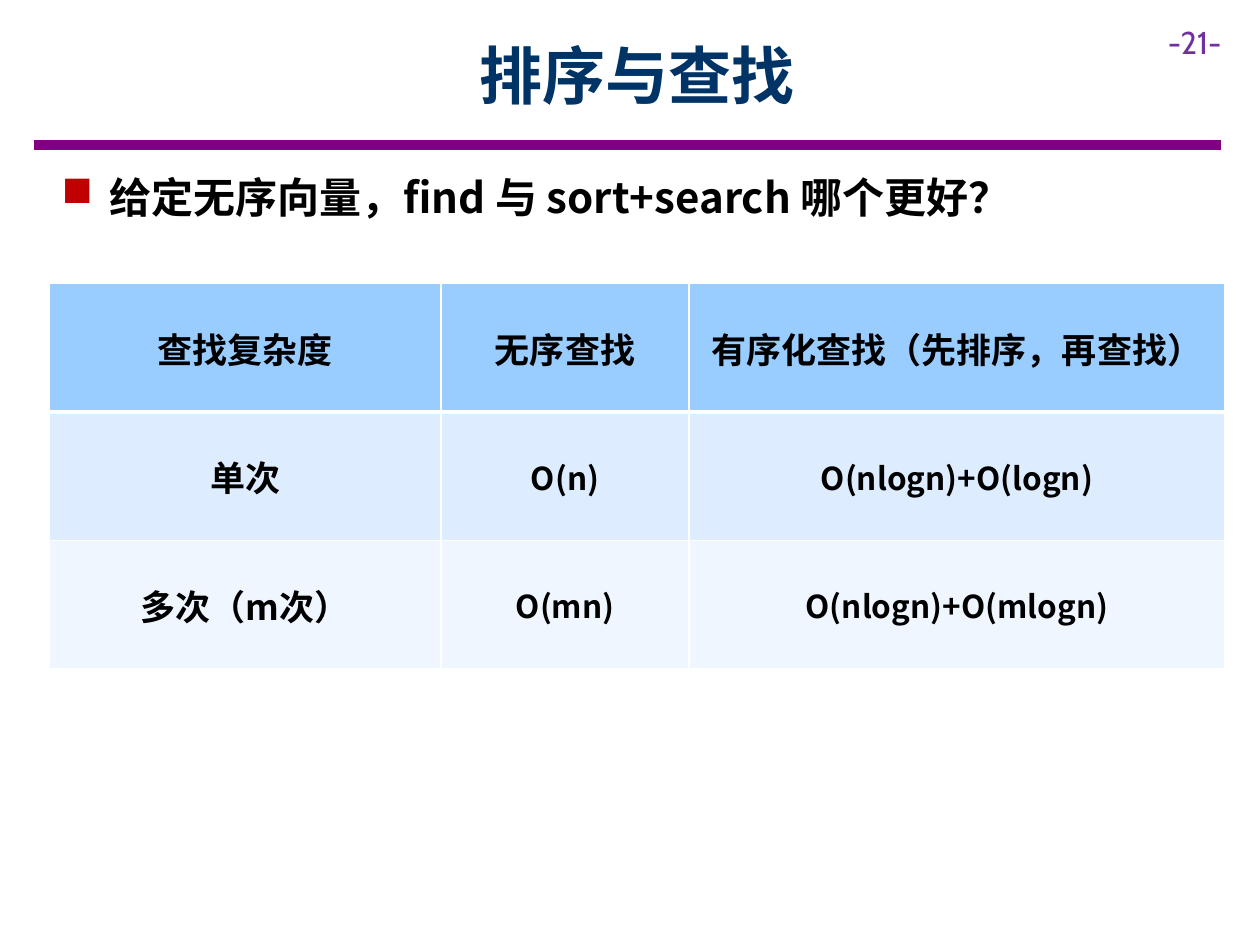
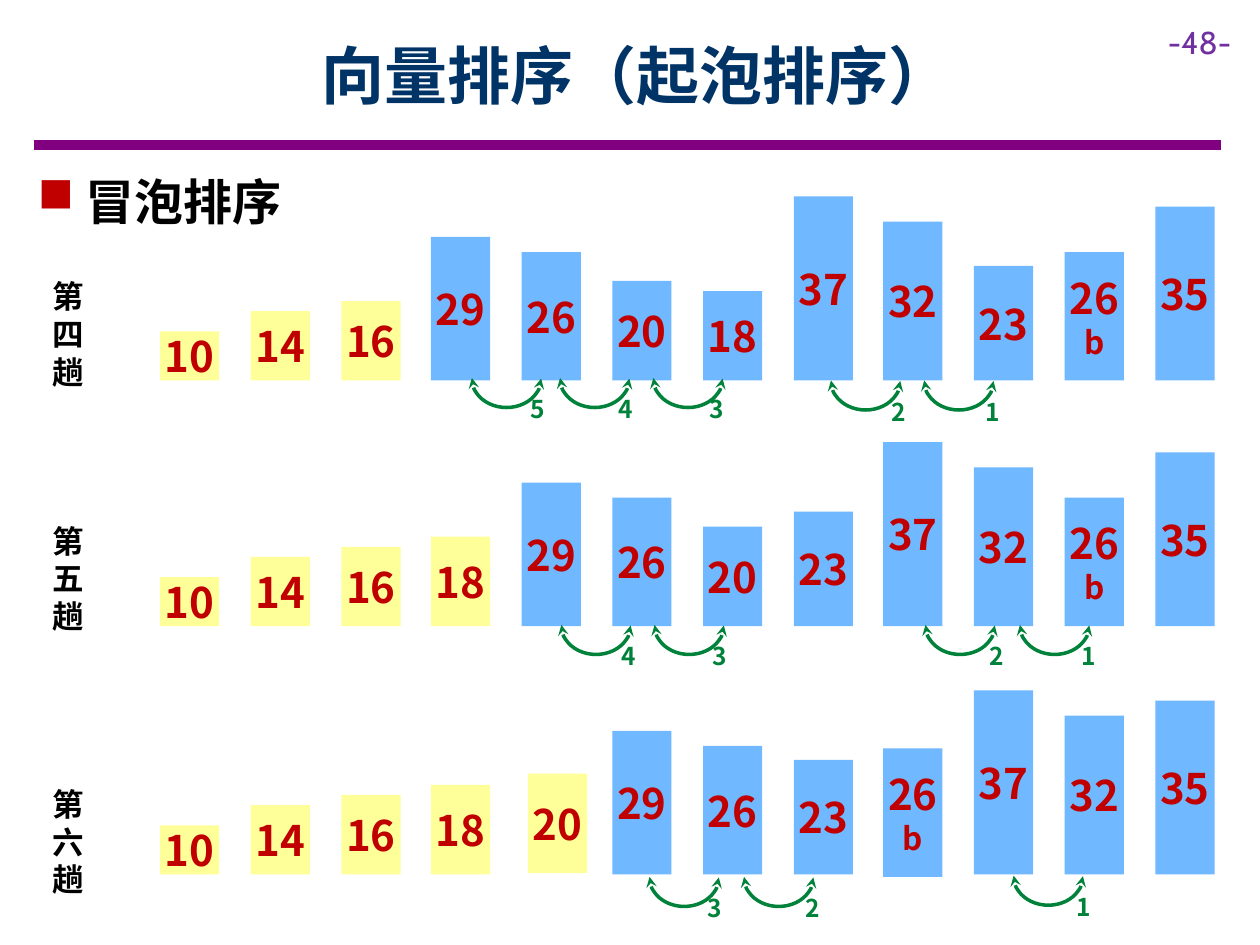
"""Build two slides on sorting, searching and bubble sort passes."""
from lxml.etree import SubElement
from pptx import Presentation
from pptx.dml.color import RGBColor
from pptx.enum.shapes import MSO_CONNECTOR, MSO_SHAPE
from pptx.enum.text import MSO_ANCHOR, PP_ALIGN
from pptx.oxml import parse_xml
from pptx.oxml.ns import nsdecls, qn
from pptx.util import Pt

PX = 9144
CJK = "Noto Sans CJK SC"
LATIN = "Cabin"

BLACK = RGBColor(0x00, 0x00, 0x00)
NAVY = RGBColor(0x00, 0x33, 0x66)
PURPLE = RGBColor(0x80, 0x00, 0x80)
VIOLET = RGBColor(0x70, 0x30, 0xA0)
RED = RGBColor(0xC0, 0x00, 0x00)
GREEN = RGBColor(0x00, 0x82, 0x3B)
BLUE = RGBColor(0x70, 0xB8, 0xFF)
YELLOW = RGBColor(0xFF, 0xFF, 0x99)
HEAD_FILL = RGBColor(0x99, 0xCC, 0xFF)
ROW_FILLS = [HEAD_FILL, RGBColor(0xDE, 0xEC, 0xFF), RGBColor(0xEF, 0xF6, 0xFF)]


def write(tf, text, size, color, align=PP_ALIGN.CENTER, font=CJK, leading=None):
    tf.text = text
    for p in tf.paragraphs:
        p.alignment = align
        if leading:
            p.line_spacing = Pt(size * leading)
        for r in p.runs:
            r.font.size = Pt(size)
            r.font.bold = font == CJK
            r.font.color.rgb = color
            r.font.name = font
            SubElement(r._r.get_or_add_rPr(), qn("a:ea")).set("typeface", font)


def textbox(s, x, y, w, h, wrap=True):
    tf = s.shapes.add_textbox(x * PX, y * PX, w * PX, h * PX).text_frame
    tf.word_wrap = wrap
    return tf


prs = Presentation()
prs.slide_width = 1000 * PX
prs.slide_height = 750 * PX

PAGES = [
    ("排序与查找", "-21-", "给定无序向量，find 与 sort+search 哪个更好？", 24, (39, 131, 894, 50)),
    ("向量排序（起泡排序）", "-48-", "冒泡排序", 28, (20, 131, 957, 57)),
]
for title, number, topic, size, place in PAGES:
    s = prs.slides.add_slide(prs.slide_layouts[6])
    rule = s.shapes.add_connector(
        MSO_CONNECTOR.STRAIGHT, 27 * PX, 115 * PX, 969 * PX, 115 * PX)
    rule.line.color.rgb = PURPLE
    rule.line.width = Pt(6)
    SubElement(rule._element.spPr, qn("a:effectLst"))

    write(textbox(s, 917, 13, 83, 40), number, 18, VIOLET, PP_ALIGN.LEFT, LATIN)
    tf = textbox(s, 90, 9, 831, 100)
    tf.vertical_anchor = MSO_ANCHOR.MIDDLE
    write(tf, title, 36, NAVY)

    tf = textbox(s, *place)
    write(tf, topic, size, BLACK, PP_ALIGN.LEFT, leading=1.2)
    p = tf.paragraphs[0]
    p.space_after = Pt(6)
    pPr = p._p.get_or_add_pPr()
    pPr.set("marL", str(38 * PX))
    pPr.set("indent", str(-38 * PX))
    SubElement(SubElement(pPr, qn("a:buClr")), qn("a:srgbClr")).set("val", str(RED))
    SubElement(pPr, qn("a:buChar")).set("char", "■")

search_slide, bubble_slide = prs.slides

COSTS = [
    ["查找复杂度", "无序查找", "有序化查找（先排序，再查找）"],
    ["单次", "O(n)", "O(nlogn)+O(logn)"],
    ["多次（m次）", "O(mn)", "O(nlogn)+O(mlogn)"],
]
table = search_slide.shapes.add_table(
    3, 3, 39 * PX, 225 * PX, 933 * PX, 306 * PX).table
for col, width in zip(table.columns, [311, 197, 425]):
    col.width = width * PX
for i, row in enumerate(COSTS):
    table.rows[i].height = 102 * PX
    for j, text in enumerate(row):
        cell = table.cell(i, j)
        cell.vertical_anchor = MSO_ANCHOR.MIDDLE
        cell.fill.solid()
        cell.fill.fore_color.rgb = ROW_FILLS[i]
        write(cell.text_frame, text, 18 if text.startswith("O(") else 20, BLACK)
        tcPr = cell._tc.get_or_add_tcPr()
        for k, side in enumerate(["L", "R", "T", "B"]):
            thick = (i, side) in [(0, "B"), (1, "T")]
            tcPr.insert(k, parse_xml(
                f'<a:ln{side} {nsdecls("a")} w="{Pt(3 if thick else 1)}"><a:solidFill>'
                f'<a:srgbClr val="FFFFFF"/></a:solidFill></a:ln{side}>'))

PASSES = [
    ("第四趟", 215, 302, 3, "10 14 16 29 26 20 18 37 32 23 26b 35",
     [("1", 738, 275, 772), ("2", 664, 275, 697), ("3", 523, 273, 553),
      ("4", 449, 273, 481), ("5", 379, 273, 411)]),
    ("第五趟", 409, 497, 4, "10 14 16 18 29 26 20 23 37 32 26b 35",
     [("1", 814, 469, 848), ("2", 739, 469, 775), ("3", 524, 469, 555),
      ("4", 450, 469, 483)]),
    ("第六趟", 618, 694, 5, "10 14 16 18 20 29 26 23 26b 37 32 35",
     [("1", 809, 668, 844), ("2", 595, 669, 629), ("3", 520, 669, 551)]),
]
NUDGES = {("第六趟", "20"): (5, -1), ("第六趟", "26b"): (0, 2)}

s = bubble_slide
for name, name_top, base, settled, values, swaps in PASSES:
    write(textbox(s, 32, name_top, 52, 101), name, 18, BLACK, PP_ALIGN.LEFT, leading=1.2)

    for i, value in enumerate(values.split()):
        dx, dy = NUDGES.get((name, value), (0, 0))
        number = value.rstrip("b")
        height = round(int(number) * 3.94)
        x = round(127 + i * 71.8) + dx
        bar = s.shapes.add_shape(
            MSO_SHAPE.RECTANGLE, x * PX, (base - height + dy) * PX, 47 * PX, height * PX)
        bar.shadow.inherit = False
        bar.fill.solid()
        bar.fill.fore_color.rgb = YELLOW if i < settled else BLUE
        bar.line.fill.background()
        tf = bar.text_frame
        tf.margin_left = tf.margin_right = 0
        tf.margin_top = tf.margin_bottom = 10 * PX
        tf.vertical_anchor = MSO_ANCHOR.MIDDLE
        write(tf, value.replace("b", "\nb"), 24, RED)
        for p in tf.paragraphs[1:]:
            p.line_spacing = Pt(21.6)
            p.runs[0].font.size = Pt(18)

    for step, x, y, label_x in swaps:
        arc = s.shapes.add_shape(MSO_SHAPE.ARC, x * PX, y * PX, 46 * PX, 55 * PX)
        arc.adjustments[0] = 162
        arc.adjustments[1] = 54.6
        arc.rotation = 90
        arc.shadow.inherit = False
        arc.fill.background()
        arc.line.color.rgb = GREEN
        arc.line.width = Pt(2)
        ln = arc.line._get_or_add_ln()
        for end in ["a:headEnd", "a:tailEnd"]:
            SubElement(ln, qn(end)).set("type", "stealth")
        write(textbox(s, label_x, y + 39, 32, 34, False), step, 14, GREEN, leading=1)

prs.save("out.pptx")
